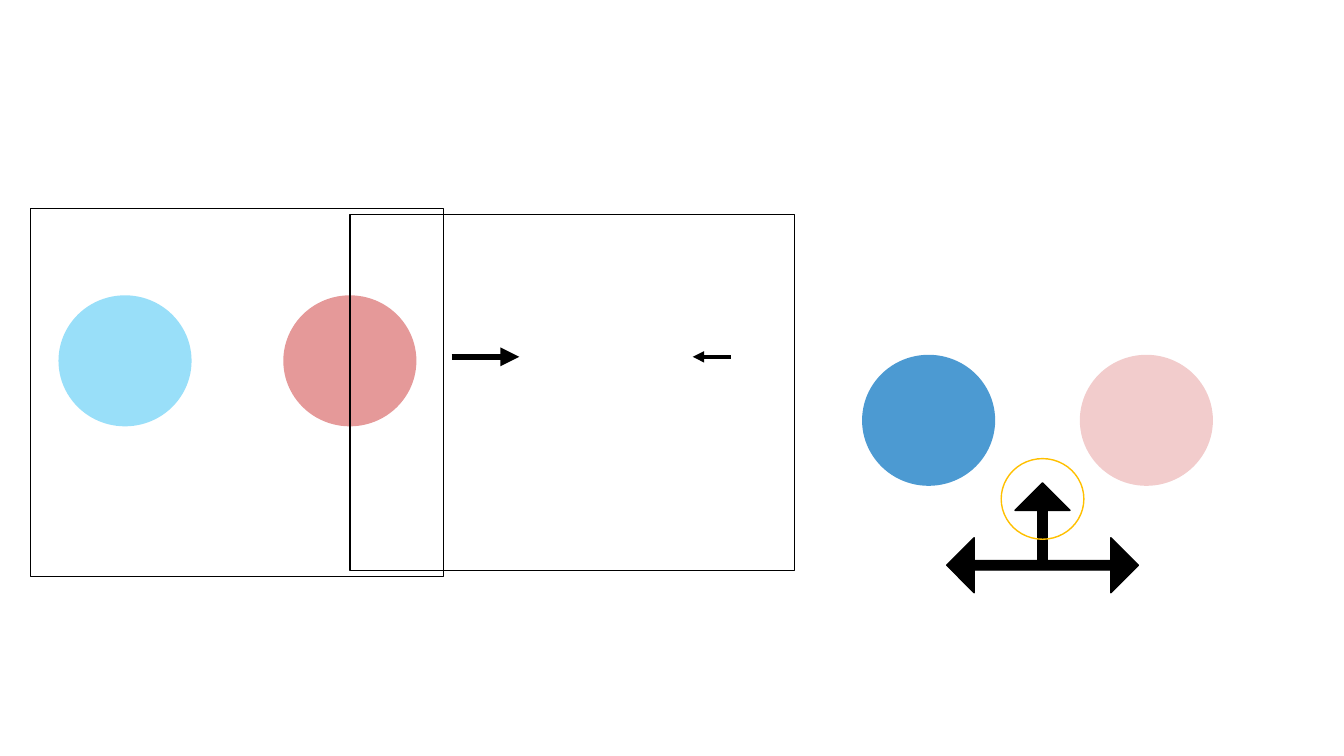
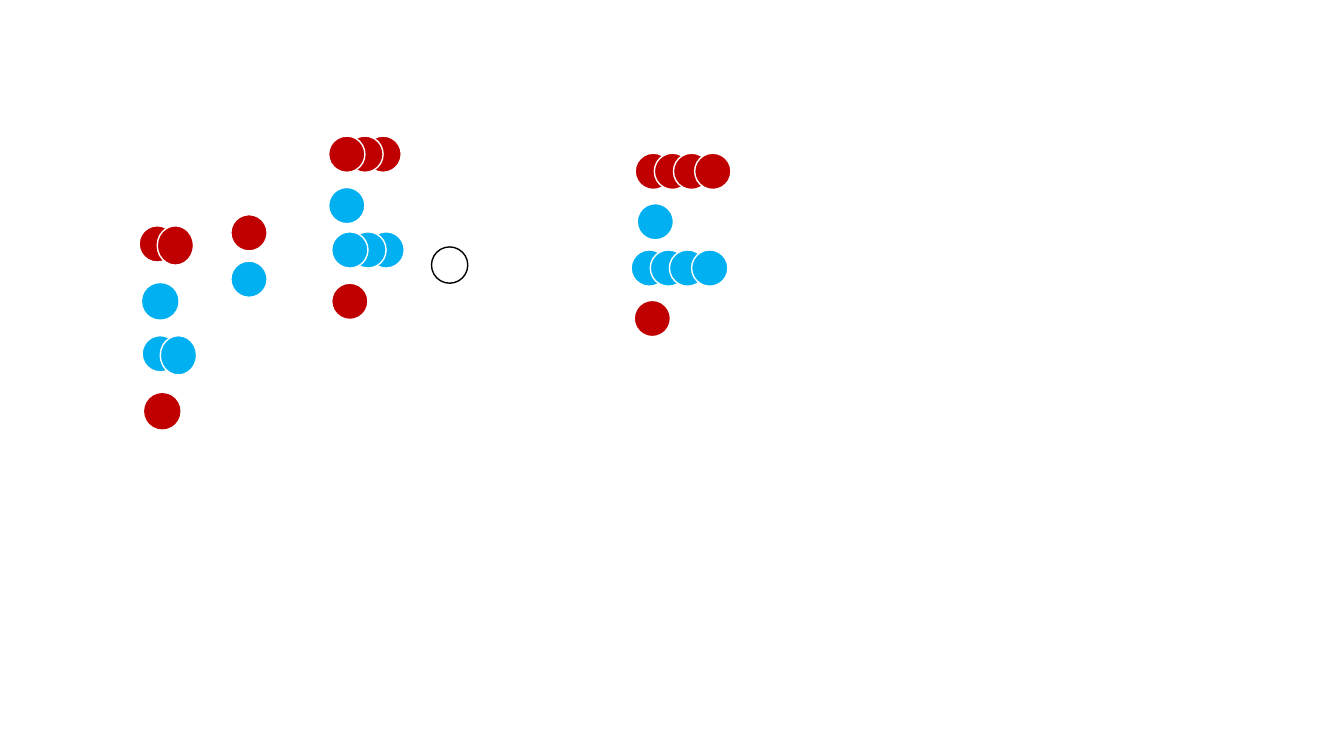
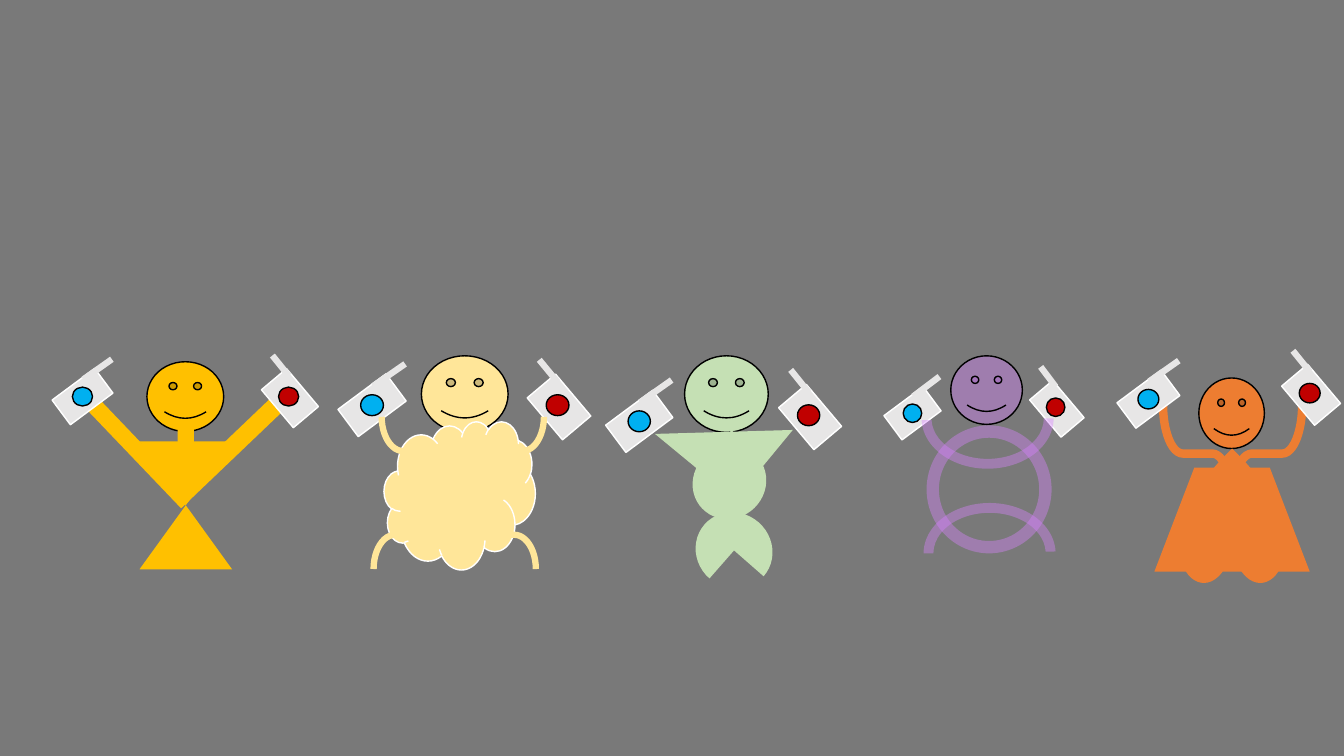
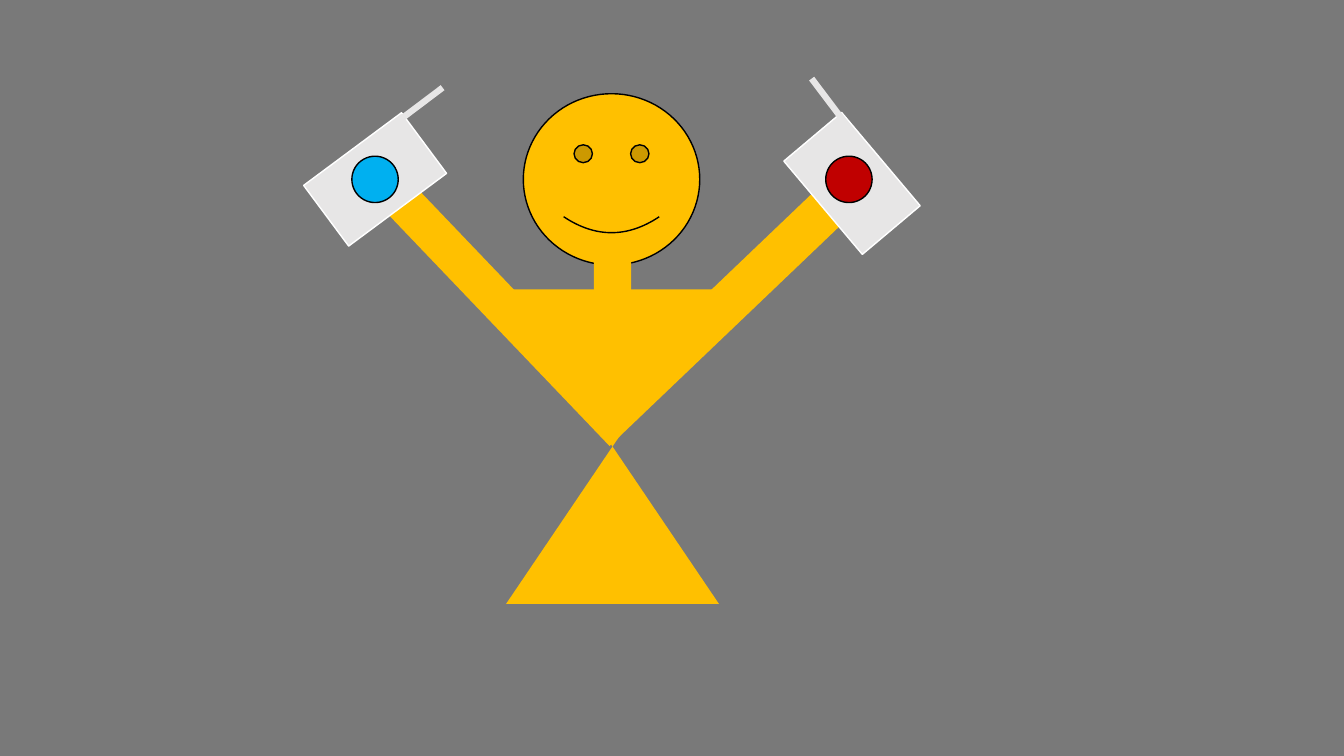
from dataclasses import dataclass
from typing import NamedTuple, Optional

from pptx import Presentation
from pptx.dml.color import RGBColor
from pptx.enum import shapes as kinds
from pptx.oxml.ns import qn
from pptx.util import Inches, Pt
from lxml import etree

Kind = kinds.MSO_SHAPE

# Colours
BLACK = RGBColor(0x00, 0x00, 0x00)
WHITE = RGBColor(0xFF, 0xFF, 0xFF)
GREY = RGBColor(0x79, 0x79, 0x79)
CLOTH = RGBColor(0xE7, 0xE6, 0xE6)
SKY = RGBColor(0x00, 0xB0, 0xF0)
BLUE = RGBColor(0x00, 0x70, 0xC0)
RED = RGBColor(0xC0, 0x00, 0x00)
GOLD = RGBColor(0xFF, 0xC0, 0x00)
CREAM = RGBColor(0xFF, 0xE6, 0x99)
GREEN = RGBColor(0xC5, 0xE0, 0xB4)
LILAC = RGBColor(0xD8, 0x83, 0xFF)
ORANGE = RGBColor(0xED, 0x7D, 0x31)


class Box(NamedTuple):
    x: float
    y: float
    w: float
    h: float


class Point(NamedTuple):
    x: float
    y: float


class Frame(NamedTuple):
    """Offset and scale of a figure."""
    x: float = 0
    y: float = 0
    sx: float = 1
    sy: float = 1

    def point(self, x: float, y: float) -> Point:
        return Point(self.x + x * self.sx, self.y + y * self.sy)


@dataclass
class Part:
    kind: Kind
    box: Box
    fill: Optional[RGBColor] = None
    line: Optional[RGBColor] = None
    width: float = 1
    rot: float = 0
    adj: tuple = ()
    alpha: int = 100


class Flag(NamedTuple):
    """Offsets run from the centre of the dot."""
    tint: RGBColor
    rot: float
    cloth: Point
    foot: Point
    tip: Point


class Row(NamedTuple):
    xs: tuple
    y: float
    tint: RGBColor
    h: float = 0.36
    edge: Optional[RGBColor] = WHITE


FULL = Frame()
LEFT = Flag(SKY, 143.4, Point(0, 0), Point(0.02, -0.42), Point(0.67, -0.91))
RIGHT = Flag(RED, 49.9, Point(0.03, 0.04), Point(0, -0.51), Point(-0.37, -1))


# Drawing
def draw(pen, part: Part, frame: Frame = FULL) -> None:
    box = part.box
    mid = frame.point(box.x + box.w / 2, box.y + box.h / 2)
    sx, sy = frame.sx, frame.sy
    if 45 <= part.rot % 180 < 135:  # the sides lie across the axes
        sx, sy = sy, sx
    w, h = box.w * sx, box.h * sy
    shape = pen.add_shape(part.kind, Inches(mid.x - w / 2), Inches(mid.y - h / 2),
                          Inches(w), Inches(h))
    shape.shadow.inherit = False
    shape.rotation = part.rot
    for i, val in enumerate(part.adj):
        shape.adjustments[i] = val
    if part.fill is None:
        shape.fill.background()
    else:
        shape.fill.solid()
        shape.fill.fore_color.rgb = part.fill
        if part.alpha < 100:
            tint = shape._element.spPr.find(qn("a:solidFill"))[0]
            etree.SubElement(tint, qn("a:alpha"), val=str(part.alpha * 1000))
    if part.line is None:
        shape.line.fill.background()
    else:
        shape.line.color.rgb = part.line
        shape.line.width = Pt(part.width)


def stroke(pen, start: Point, end: Point, tint: RGBColor, width: float,
           arrow: bool = False) -> None:
    line = pen.add_connector(kinds.MSO_CONNECTOR.STRAIGHT, Inches(start.x),
                             Inches(start.y), Inches(end.x), Inches(end.y))
    line.line.color.rgb = tint
    line.line.width = Pt(width)
    props = line._element.spPr
    if arrow:
        etree.SubElement(props.find(qn("a:ln")), qn("a:tailEnd"), type="triangle")
    etree.SubElement(props, qn("a:effectLst"))


def wave(pen, flag: Flag, frame: Frame) -> None:
    draw(pen, Part(Kind.RECTANGLE,
                   Box(flag.cloth.x - 0.605, flag.cloth.y - 0.375, 1.21, 0.75),
                   CLOTH, WHITE, rot=flag.rot), frame)
    draw(pen, Part(Kind.OVAL, Box(-0.23, -0.23, 0.46, 0.46), flag.tint, BLACK), frame)
    stroke(pen, frame.point(*flag.foot), frame.point(*flag.tip), CLOTH, 4.5)


def flags(pen, left: Point, right: Point, sx: float, sy: float) -> None:
    for flag, dot in ((RIGHT, right), (LEFT, left)):
        wave(pen, flag, Frame(dot.x, dot.y, sx, sy))


def face(pen, box: Box, tint: RGBColor, frame: Frame = FULL, alpha: int = 100) -> None:
    draw(pen, Part(Kind.SMILEY_FACE, box, tint, BLACK, alpha=alpha), frame)


def body(pen, *parts: Part, frame: Frame = FULL) -> None:
    for part in parts:
        draw(pen, part, frame)


# Figures
def gold(pen, frame: Frame) -> None:
    face(pen, Box(5.19, 0.93, 1.75, 1.7), GOLD, frame)
    body(pen,
         Part(Kind.FLOWCHART_COLLATE, Box(5.02, 2.87, 2.11, 3.12), GOLD),
         Part(Kind.RECTANGLE, Box(5.89, 2.54, 0.37, 0.61), GOLD),
         Part(Kind.CORNER, Box(4.4, 0.32, 3.33, 3.43), GOLD, rot=316.3,
              adj=(0.127, 0.116)),
         frame=frame)
    flags(pen, frame.point(3.72, 1.78), frame.point(8.42, 1.78), frame.sx, frame.sy)


def cream(pen) -> None:
    face(pen, Box(4.18, 3.53, 0.86, 0.76), CREAM)
    flags(pen, Point(3.69, 4.02), Point(5.53, 4.02), 0.49, 0.45)
    draw(pen, Part(Kind.CLOUD, Box(3.81, 4.18, 1.5, 1.47), CREAM, WHITE))
    for x, y, rot in ((4.25, 3.67, 90), (4.17, 4.5, 270)):
        draw(pen, Part(Kind.RIGHT_BRACE, Box(x, y, 0.68, 1.61), line=CREAM,
                       width=4.5, rot=rot, adj=(0.314, 0.5)))


def green(pen) -> None:
    face(pen, Box(6.79, 3.53, 0.83, 0.76), GREEN)
    flags(pen, Point(6.34, 4.18), Point(8.02, 4.12), 0.48, 0.45)
    body(pen,
         Part(Kind.PIE, Box(6.91, 5.07, 0.74, 0.78), GREEN, rot=131.2),
         Part(Kind.TEAR, Box(6.86, 4.43, 0.75, 0.71), GREEN, rot=315.9),
         Part(Kind.RIGHT_TRIANGLE, Box(6.73, 3.77, 0.9, 1.03), GREEN, rot=309.5))


def lilac(pen) -> None:
    face(pen, Box(9.43, 3.53, 0.71, 0.68), LILAC, alpha=40)
    flags(pen, Point(9.05, 4.1), Point(10.47, 4.04), 0.4, 0.4)
    draw(pen, Part(Kind.DONUT, Box(9.19, 4.22, 1.24, 1.27), LILAC, adj=(0.099,), alpha=40))
    for x, y, rot in ((9.16, 4.99, 0), (9.14, 3.65, 180)):
        draw(pen, Part(Kind.BLOCK_ARC, Box(x, y, 1.31, 1), LILAC, rot=rot,
                       adj=(108, 215, 0.098), alpha=40))


def orange(pen) -> None:
    face(pen, Box(11.89, 3.75, 0.65, 0.7), ORANGE)
    body(pen,
         Part(Kind.HEART, Box(11.7, 4.45, 1.04, 1.35), ORANGE, rot=180),
         Part(Kind.TRAPEZOID, Box(11.45, 4.64, 1.54, 1.03), ORANGE, adj=(0.384,)),
         Part(Kind.RIGHT_BRACE, Box(11.74, 3.81, 0.97, 1.38), line=ORANGE,
              width=6, rot=90, adj=(0.202, 0.504)))
    flags(pen, Point(11.39, 3.96), Point(12.99, 3.9), 0.45, 0.42)


# Slides
def add(deck, back: RGBColor):
    slide = deck.slides.add_slide(deck.slide_layouts[6])
    slide.background.fill.solid()
    slide.background.fill.fore_color.rgb = back
    return slide.shapes


def group(pen):
    return pen.add_group_shape().shapes


def disc(pen, x: float, y: float, tint: RGBColor, alpha: int) -> None:
    draw(pen, Part(Kind.OVAL, Box(x, y, 1.32, 1.3), tint, alpha=alpha))


def choice(deck) -> None:
    pen = add(deck, WHITE)
    disc(pen, 0.58, 2.93, SKY, 40)
    disc(pen, 2.81, 2.93, RED, 40)
    stroke(pen, Point(4.48, 3.54), Point(5.15, 3.54), BLACK, 4.5, arrow=True)
    draw(pen, Part(Kind.RECTANGLE, Box(0.3, 2.07, 4.1, 3.65), line=BLACK))
    # Discs with the three-way arrow
    pad = group(pen)
    disc(pad, 10.71, 3.52, RED, 20)
    disc(pad, 8.55, 3.52, BLUE, 70)
    draw(pad, Part(Kind.LEFT_RIGHT_UP_ARROW, Box(9.39, 4.79, 1.9, 1.09), BLACK, BLACK,
                   adj=(0.087, 0.25, 0.25)))
    draw(pad, Part(Kind.OVAL, Box(9.93, 4.55, 0.82, 0.8), line=GOLD))
    # Second frame
    draw(pen, Part(Kind.RECTANGLE, Box(3.47, 2.13, 4.41, 3.53), line=BLACK))
    stroke(pen, Point(7.25, 3.54), Point(6.87, 3.54), BLACK, 2.75, arrow=True)


PILES = (
    (Row((1.41,), 2.81, SKY, edge=None), Row((1.38,), 2.24, RED),
     Row((1.56,), 2.24, RED, 0.39)),
    (Row((3.62, 3.44, 3.26), 1.35, RED), Row((3.26,), 1.86, SKY)),
    (Row((6.3, 6.49, 6.68, 6.89), 1.52, RED), Row((6.32,), 2.02, SKY)),
    (Row((6.26, 6.45, 6.64, 6.86), 2.48, SKY), Row((6.29,), 2.98, RED)),
    (Row((3.65, 3.47, 3.29), 2.3, SKY), Row((3.29,), 2.81, RED)),
    (Row((1.43,), 3.9, RED, edge=None), Row((1.41,), 3.33, SKY),
     Row((1.59,), 3.33, SKY, 0.39)),
    (Row((2.29,), 2.13, RED), Row((2.29,), 2.59, SKY)),
)


def tokens(deck) -> None:
    pen = add(deck, WHITE)
    draw(pen, Part(Kind.OVAL, Box(4.28, 2.45, 0.36, 0.36), WHITE, BLACK))
    for pile in PILES:
        pad = group(pen)
        for row in pile:
            for x in row.xs:
                draw(pad, Part(Kind.OVAL, Box(x, row.y, 0.36, row.h), row.tint, row.edge))


def team(deck) -> None:
    pen = add(deck, GREY)
    gold(group(pen), Frame(-0.8, 3.21, 0.435, 0.407))
    for figure in (cream, green, lilac, orange):
        figure(group(pen))


def solo(deck) -> None:
    gold(group(add(deck, GREY)), FULL)


def main() -> None:
    deck = Presentation()
    deck.slide_width, deck.slide_height = Inches(13.33), Inches(7.5)
    for build in (choice, tokens, team, solo):
        build(deck)
    deck.save("out.pptx")


if __name__ == "__main__":
    main()
